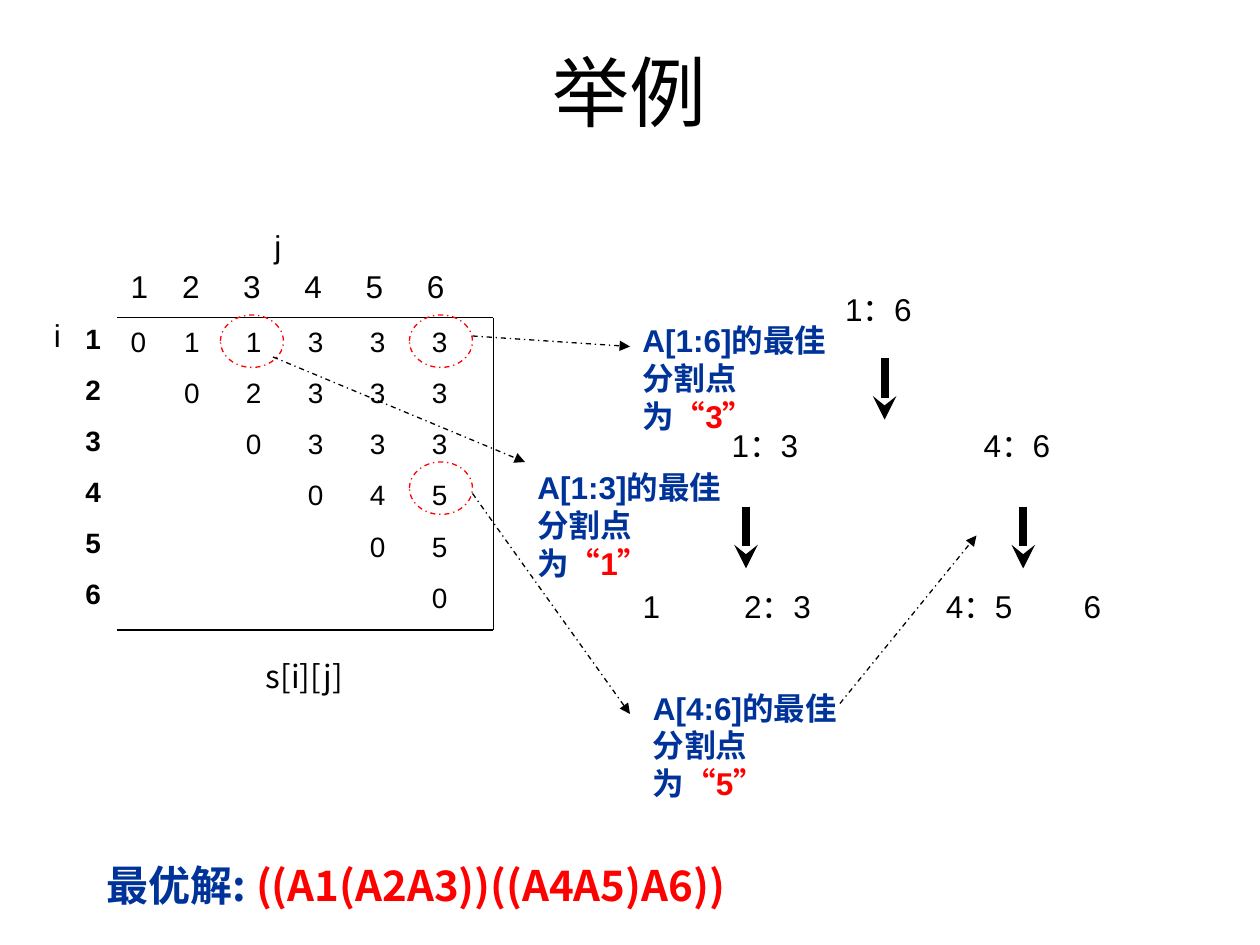
import pptx
import pptx.dml.color
import pptx.enum.dml
import pptx.enum.shapes
import pptx.enum.text
import pptx.oxml.ns
import pptx.oxml.xmlchemy
import pptx.util
from lxml import etree

Pt = pptx.util.Pt
ALIGN = pptx.enum.text.PP_ALIGN
DASH = pptx.enum.dml.MSO_LINE.DASH_DOT
qn = pptx.oxml.ns.qn

HUES = {"ink": "000000", "blue": "003399", "red": "FF0000"}
SANS = "Arial"
HAN = "Noto Sans CJK SC"

# Best split points s[i][j], upper triangle row by row
SPLITS = ["011333", "02333", "0333", "045", "05", "0"]


def tint(hue):
    return pptx.dml.color.RGBColor.from_string(HUES[hue])


def add_run(para, text, size, hue="ink", bold=False, face=SANS):
    run = para.add_run()
    run.text = text
    font = run.font
    font.size, font.bold, font.name = Pt(size), bold, face
    font.color.rgb = tint(hue)
    east = etree.SubElement(run._r.get_or_add_rPr(), qn("a:ea"))
    east.set("typeface", HAN)


def add_tabs(para, stops):
    tabs = etree.SubElement(para._p.get_or_add_pPr(), qn("a:tabLst"))
    for stop in stops:
        tab = etree.SubElement(tabs, qn("a:tab"))
        tab.set("pos", str(int(Pt(stop))))
        tab.set("algn", "ctr")


def fill_text(frame, lines, size, align=ALIGN.LEFT, gap=0, stops=()):
    """Each line is a list of (text, format) pairs."""
    frame.word_wrap = True
    frame.vertical_anchor = pptx.enum.text.MSO_ANCHOR.TOP
    for n, line in enumerate(lines):
        para = frame.paragraphs[0] if n == 0 else frame.add_paragraph()
        if stops:
            add_tabs(para, stops)
        para.alignment = align
        para.line_spacing = Pt(1.2 * size)
        para.space_before = Pt(gap if n else 0)
        for text, form in line:
            add_run(para, text, size, **form)


def add_text(slide, left, top, width, height, lines, size=18, **opts):
    box = slide.shapes.add_textbox(Pt(left), Pt(top), Pt(width), Pt(height))
    fill_text(box.text_frame, lines, size, **opts)


def add_line(slide, start, end, width=0.75, head=None, dash=None):
    line = slide.shapes.add_connector(
        pptx.enum.shapes.MSO_CONNECTOR.STRAIGHT, *map(Pt, start + end))
    line.line.width = Pt(width)
    line.line.color.rgb = tint("ink")
    if dash:
        line.line.dash_style = dash
    if head:
        etree.SubElement(line.line._get_or_add_ln(), qn("a:tailEnd")).set("type", head)
    etree.SubElement(line._element.spPr, qn("a:effectLst"))


def add_ring(slide, left, top):
    ring = slide.shapes.add_shape(
        pptx.enum.shapes.MSO_SHAPE.OVAL, Pt(left), Pt(top), Pt(36), Pt(30))
    ring.shadow.inherit = False
    ring.fill.background()
    ring.line.color.rgb = tint("red")
    ring.line.width = Pt(0.75)
    ring.line.dash_style = DASH


def add_note(slide, left, top, span, split):
    add_text(slide, left, top, 120, 72, [[
        (f"A[{span}]的最佳分割点为", {"hue": "blue", "bold": True}),
        (f"“{split}”", {"hue": "red", "bold": True})]])


def add_title(slide):
    title = slide.shapes.title
    title.left, title.top, title.width, title.height = map(Pt, (36, 21.6, 648, 90))
    fill_text(title.text_frame, [[("举例", {})]], 44, ALIGN.CENTER)


def add_grid(slide):
    # Axis names and indices
    add_text(slide, 23.76, 177, 24, 28.8, [[("i", {})]])
    add_text(slide, 149.76, 126, 24, 28.8, [[("j", {})]])
    add_text(slide, 67.5, 149, 214.5, 28.8, [[("\t".join("123456"), {})]],
             stops=[34.4 + 35 * n for n in range(5)])
    add_text(slide, 41.76, 180, 30, 172.8,
             [[(mark, {"bold": True})] for mark in "123456"], 16, gap=10)

    # Values, each row one column further in
    rows = [[("\t" * n + "\t".join(row), {})] for n, row in enumerate(SPLITS)]
    add_text(slide, 67.5, 182, 214.5, 175, rows, 16, gap=10,
             stops=[35 + 35.4 * n for n in range(5)])

    # Frame open to the left
    left, right, top, foot = 67, 282, 181.5, 360
    add_line(slide, (left, top), (right, top))
    add_line(slide, (left, foot), (right, foot))
    add_line(slide, (right, top), (right, foot))
    add_text(slide, 108, 372, 132, 28.8,
             [[("s[i][j]", {"face": HAN})]], align=ALIGN.CENTER)


def add_tree(slide):
    nodes = [("1：6", 397.5, 162, 208.8),
             ("1：3", 397.5, 240, 79.2), ("4：6", 541.5, 240, 79.2),
             ("1", 354.3, 332, 36), ("2：3", 404.7, 332, 79.2),
             ("4：5", 519.9, 332, 79.2), ("6", 606.3, 332, 36)]
    for text, left, top, width in nodes:
        add_text(slide, left, top, width, 28.8, [[(text, {})]], align=ALIGN.CENTER)
    for mid, top in [(505.5, 204.5), (426.3, 289.5), (584.7, 289.5)]:
        add_line(slide, (mid, top), (mid, top + 35.3), 4.5, "stealth")


def add_links(slide):
    for left, top in [(234, 180), (126, 180), (234, 264)]:
        add_ring(slide, left, top)
    for start, end in [((270, 192), (360, 198)), ((156, 204), (300, 264)),
                       ((270, 282), (360, 408)), ((480, 402), (558, 306))]:
        add_line(slide, start, end, head="triangle", dash=DASH)
    add_note(slide, 360, 180, "1:6", 3)
    add_note(slide, 300, 264, "1:3", 1)
    add_note(slide, 366, 390, "4:6", 5)


def main():
    deck = pptx.Presentation()
    deck.slide_width, deck.slide_height = Pt(720), Pt(540)
    slide = deck.slides.add_slide(deck.slide_layouts[5])
    add_title(slide)
    add_grid(slide)
    add_tree(slide)
    add_links(slide)

    # Best solution
    add_text(slide, 54, 487.5, 378, 36, [[
        ("最优解", {"hue": "blue", "bold": True}),
        (": ", {"hue": "blue", "bold": True, "face": HAN}),
        ("((A1(A2A3))((A4A5)A6))", {"hue": "red", "bold": True, "face": HAN})]], 24)
    deck.save("out.pptx")


if __name__ == "__main__":
    main()
